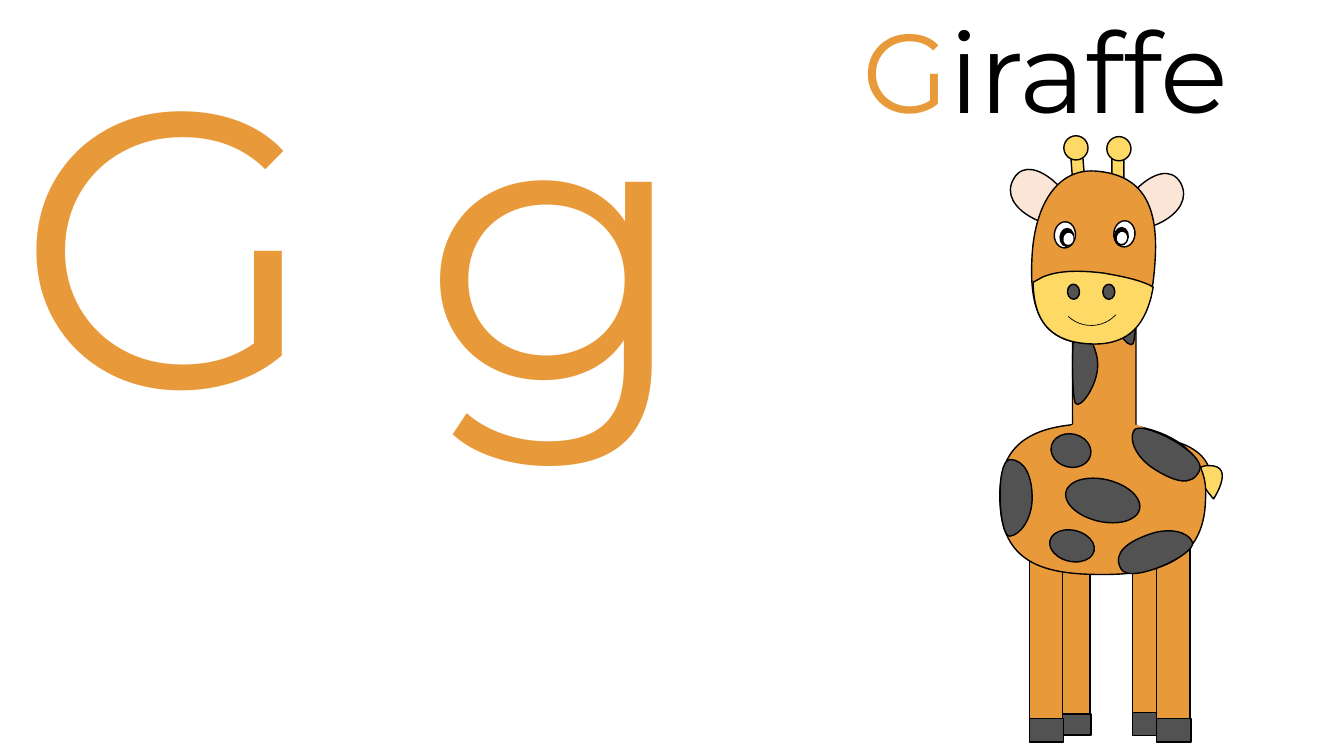
from math import cos, radians, sin

from lxml import etree
from pptx import Presentation
from pptx.dml.color import RGBColor
from pptx.enum import shapes, text
from pptx.oxml.ns import qn
from pptx.util import Pt

ORANGE = RGBColor(0xE8, 0x9A, 0x3A)
YELLOW = RGBColor(0xFF, 0xD9, 0x66)
PINK = RGBColor(0xFB, 0xE5, 0xD6)
GREY = RGBColor(0x52, 0x52, 0x52)
BLACK = RGBColor(0, 0, 0)
WHITE = RGBColor(0xFF, 0xFF, 0xFF)
FONT = "Montserrat"

OVAL = shapes.MSO_SHAPE.OVAL
RECTANGLE = shapes.MSO_SHAPE.RECTANGLE
ROUNDED = shapes.MSO_SHAPE.ROUNDED_RECTANGLE

# Box (left, top, width, height), size, coloured runs
LETTERS = ((5, -5.8, 571, 358.6), 280, [("G g", ORANGE)])
WORD = ((609.1, -2.2, 325.4, 104.4), 80, [("G", ORANGE), ("iraffe", BLACK)])

# Outlines: box before turning, rotation, then a start point followed by
# lines (x, y) or curves (two controls and an end) as they lie on the slide
LEFT_EAR = ((729.4, 116.6, 31, 51.8), 305.5, [
    (766.1, 157.7), (775.4, 146.9, 737.3, 105.1, 724.3, 127.4),
    (710.6, 149.8, 756, 168.5, 766.1, 157.7)])
RIGHT_EAR = ((807.1, 119.5, 31, 51.8), 54.5, [
    (801.4, 160.6), (792, 150.5, 829.4, 108, 843.1, 130.3),
    (856.1, 153.4, 810.7, 171.4, 801.4, 160.6)])
TAIL = ((837.4, 306.7, 18, 41), 106.9, [
    (840.2, 334.1), (802.1, 303.1, 864, 313.2, 864, 338.4),
    (851.8, 333.4, 858.2, 331.2, 840.2, 334.1)])
TUFT = ((856.1, 332.6, 17.3, 24.5), 0, [
    (866.9, 356.4), (866.9, 356.4, 882.7, 332.6, 864, 332.6),
    (844.6, 331.9, 866.9, 356.4, 866.9, 356.4)])
BODY = ((713.5, 302.4, 147.6, 108), 0, [
    (714.2, 356.4), (712.8, 310.3, 746.6, 302.4, 787.7, 302.4),
    (828.7, 302.4, 864, 319, 861.1, 356.4), (860.4, 400.3, 828.7, 410.4, 787.7, 410.4),
    (746.6, 410.4, 715, 403.2, 714.2, 356.4)])
HEAD = ((720, 139.7, 123.1, 87.8), 273.3, [
    (777.6, 245.5), (740.2, 244.1, 735.1, 215.3, 737.3, 181.4),
    (739.4, 147.6, 754.6, 118.8, 784.8, 122.4), (820.1, 126, 827.3, 152.6, 825.1, 186.5),
    (823, 220.3, 815.8, 246.2, 777.6, 245.5)])
MUZZLE = ((735.8, 194.4, 85.7, 51.1), 188, [
    (738, 201.6), (744.5, 198), (756, 193, 771.1, 193, 788.4, 195.1),
    (800.6, 197.3, 812.2, 199.4, 821.5, 203.8), (823.7, 205.2), (822.2, 212.4),
    (816.5, 234, 804.2, 247.7, 776.2, 245.5),
    (747.4, 243.4, 738.7, 226.1, 738, 203.8), (738, 201.6)])
RIGHT_NECK_SPOT = ((793.4, 189.4, 18, 56.2), 0, [
    (793.4, 218.2), (793.4, 203, 806.4, 185.8, 809.3, 190.8),
    (812.2, 195.1, 812.2, 240.5, 809.3, 245.5), (806.4, 249.8, 793.4, 233.3, 793.4, 218.2)])
LEFT_NECK_SPOT = ((766.1, 232.6, 18, 56.2), 0, [
    (784.1, 260.6), (784.1, 245.5, 771.1, 229, 768.2, 233.3),
    (765.4, 238.3, 765.4, 283.7, 768.2, 288), (771.1, 293, 784.1, 275.8, 784.1, 260.6)])
NECK_BASE = ((770.4, 290.9, 29.5, 46.8), 280.4, [
    (763.2, 305.3), (767.5, 302.4), (774.7, 299.5, 784.1, 298.8, 794.2, 301),
    (799.2, 301.7, 803.5, 303.1, 807.1, 305.3), (810.7, 306.7), (798.5, 317.5),
    (794.9, 321.1, 791.3, 324.7, 787.7, 329), (787.4, 329), (763.2, 305.3)])
NECK_BASE_SHIFTS = [(0, 0), (12, 1.4)]
EDGE_SPOTS = [
    ((714.2, 328.3, 23, 54.7), 0, [
        (737.3, 355.7), (737.3, 340.6, 732.2, 328.3, 721.4, 328.3),
        (710.6, 329, 713.5, 384.5, 721.4, 383), (728.6, 382.3, 737.3, 370.8, 737.3, 355.7)]),
    ((819.4, 297.4, 24.5, 54.7), 122, [
        (825.1, 335.5), (838.1, 343.4, 851, 348.5, 856.8, 336.2),
        (862.6, 324, 815, 299.5, 810, 307.4), (805.7, 314.6, 812.2, 327.6, 825.1, 335.5)]),
    ((812.2, 365.8, 24.5, 54.7), 250.1, [
        (820.8, 381.6), (806.4, 386.6, 794.2, 394.6, 800.6, 406.1),
        (806.4, 418.3, 854.6, 396, 851.8, 387.4), (848.9, 379.4, 834.5, 376.6, 820.8, 381.6)]),
]

# Stalk left, top, rotation; knob left, top
RIGHT_HORN = (794.2, 109.4, 0, 790.6, 97.6)
LEFT_HORN = (766.8, 108.7, 355.6, 759.9, 97)
# Leg left, top; hoof box
LEGS = [
    (808.9, 384.5, (808.9, 508.8, 23, 16.6)),
    (826.3, 388.8, (826.3, 513.4, 24.5, 16.6)),
    (754.9, 384.5, (753.5, 510, 25.9, 15.1)),
    (735.4, 388.8, (735.4, 513.4, 24.5, 16.6)),
]
NECK = (766.1, 159.1, 45.4, 213.8)
BODY_SPOTS = [(772.6, 330.5, 30.2, 54), (754.6, 373.7, 22.3, 32.4), (753.1, 307.4, 23.8, 28.8)]
NOSTRILS = [(762.5, 356.6), (787.7, 180)]  # left, rotation
# Corners of eyeball, pupil and glint
EYES = [
    [(795.6, 157.7), (795.6, 162), (797.8, 165.6)],
    [(753.1, 158.4), (756.7, 162.7), (759.6, 166.3)],
]
# Width, height, rotation, fill, line width of eyeball, pupil and glint
EYE_LAYERS = [(15.1, 18.7, 184.3, WHITE, 1), (10.8, 13.7, 184.9, BLACK, 0),
              (7.2, 8.6, 190.7, WHITE, 0)]
SMILE = (755.3, 184.3, 48.2, 48.2)


def paint(part, fill, line_width):
    part.shadow.inherit = False
    if fill is None:
        part.fill.background()
    else:
        part.fill.solid()
        part.fill.fore_color.rgb = fill
    if line_width:
        part.line.color.rgb = BLACK
        part.line.width = Pt(line_width)
    else:
        part.line.fill.background()


def add_part(giraffe, kind, box, fill, rotation=0, line_width=1):
    part = giraffe.shapes.add_shape(kind, *map(Pt, box))
    part.rotation = rotation
    paint(part, fill, line_width)


def add_outline(giraffe, outline, fill, line_width=1, shift=(0, 0)):
    """Add a freeform whose six-number segments are true Bezier curves."""
    (left, top, width, height), rotation, segments = outline
    cosine, sine = cos(radians(rotation)), sin(radians(rotation))

    def turn_back(x, y):
        dx, dy = x - left - width / 2, y - top - height / 2
        return (Pt(width / 2 + dx * cosine + dy * sine),
                Pt(height / 2 - dx * sine + dy * cosine))

    left_edge, top_edge = Pt(left + shift[0]), Pt(top + shift[1])
    builder = giraffe.shapes.build_freeform(left_edge, top_edge)
    builder.add_line_segments([(left_edge + Pt(width), top_edge + Pt(height))])
    part = builder.convert_to_shape()
    part.rotation = rotation
    curve_path = part.element.find(".//" + qn("a:path"))
    for child in list(curve_path):
        curve_path.remove(child)
    for index, segment in enumerate(segments):
        tag = "a:moveTo" if index == 0 else "a:lnTo" if len(segment) == 2 else "a:cubicBezTo"
        step = etree.SubElement(curve_path, qn(tag))
        for x, y in zip(segment[::2], segment[1::2]):
            local_x, local_y = turn_back(x, y)
            etree.SubElement(step, qn("a:pt"), x=str(int(local_x)), y=str(int(local_y)))
    etree.SubElement(curve_path, qn("a:close"))
    paint(part, fill, line_width)


def add_horn(giraffe, left, top, rotation, knob_left, knob_top):
    add_part(giraffe, ROUNDED, (left, top, 8.6, 55.4), YELLOW, rotation)
    add_part(giraffe, OVAL, (knob_left, knob_top, 17.3, 17.3), YELLOW)


def add_text(slide, box, size, runs):
    frame = slide.shapes.add_textbox(*map(Pt, box)).text_frame
    frame.word_wrap = True
    frame.auto_size = text.MSO_AUTO_SIZE.SHAPE_TO_FIT_TEXT
    paragraph = frame.paragraphs[0]
    paragraph.font.name = FONT
    paragraph.font.size = Pt(size)
    for words, color in runs:
        run = paragraph.add_run()
        run.text = words
        run.font.color.rgb = color


def draw_giraffe(giraffe):
    add_horn(giraffe, *RIGHT_HORN)
    for outline, fill in [(LEFT_EAR, PINK), (TAIL, ORANGE), (TUFT, YELLOW)]:
        add_outline(giraffe, outline, fill)
    for left, top, hoof in LEGS:
        add_part(giraffe, RECTANGLE, (left, top, 23.8, 141.1), ORANGE)
        add_part(giraffe, RECTANGLE, hoof, GREY)
    add_part(giraffe, ROUNDED, NECK, ORANGE)
    for outline, fill in [(BODY, ORANGE), (RIGHT_EAR, PINK), (RIGHT_NECK_SPOT, GREY)]:
        add_outline(giraffe, outline, fill)
    add_horn(giraffe, *LEFT_HORN)
    for outline, fill in [(HEAD, ORANGE), (LEFT_NECK_SPOT, GREY), (MUZZLE, YELLOW)]:
        add_outline(giraffe, outline, fill)
    for shift in NECK_BASE_SHIFTS:
        add_outline(giraffe, NECK_BASE, ORANGE, 0, shift)
    for spot in BODY_SPOTS:
        add_part(giraffe, OVAL, spot, GREY, 283.3)
    for spot in EDGE_SPOTS:
        add_outline(giraffe, spot, GREY)
    for left, rotation in NOSTRILS:
        add_part(giraffe, OVAL, (left, 203, 8.6, 10.8), GREY, rotation)
    for eye in EYES:
        for corner, (width, height, rotation, fill, line_width) in zip(eye, EYE_LAYERS):
            add_part(giraffe, OVAL, (*corner, width, height), fill, rotation, line_width)
    add_part(giraffe, shapes.MSO_SHAPE.ARC, SMILE, None, 132.9, 0.5)


deck = Presentation()
deck.slide_width, deck.slide_height = Pt(960), Pt(540)
slide = deck.slides.add_slide(deck.slide_layouts[6])
add_text(slide, *LETTERS)
draw_giraffe(slide.shapes.add_group_shape())
add_text(slide, *WORD)
deck.save("out.pptx")
